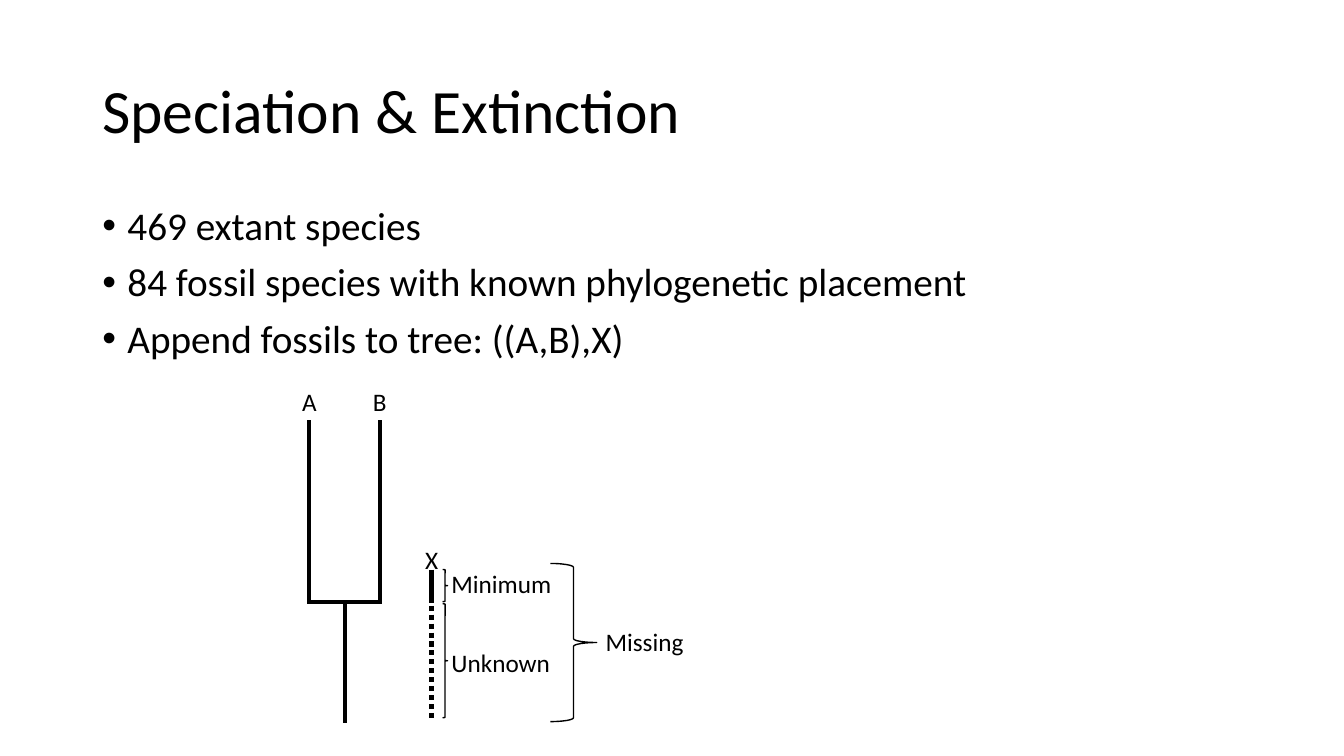
from lxml import etree
from pptx import Presentation
from pptx import util as u
from pptx.dml.color import RGBColor
from pptx.enum import shapes, text
from pptx.oxml import ns

COLOURS = {"ink": "000000", "paper": "FFFFFF"}
FONT = "Calibri"


def add_text(para, words, size=18, colour="ink", bullet=None, indent=18, spacing=None, before=None):
    if bullet:
        props = para._p.get_or_add_pPr()
        props.set("marL", str(u.Pt(indent)))
        props.set("indent", str(-u.Pt(indent)))
        font = etree.SubElement(props, ns.qn("a:buFont"))
        font.set("typeface", "Arial")
        etree.SubElement(props, ns.qn("a:buChar")).set("char", bullet)
    if spacing:
        para.line_spacing = spacing
    if before is not None:
        para.space_before = u.Pt(before)
    span = para.add_run()
    span.text = words
    span.font.name = FONT
    span.font.size = u.Pt(size)
    span.font.color.rgb = RGBColor.from_string(COLOURS[colour])


class Painter:
    def __init__(self, deck):
        self.page = deck.slides.add_slide(deck.slide_layouts[6])
        fill = self.page.background.fill
        fill.solid()
        fill.fore_color.rgb = RGBColor.from_string(COLOURS["paper"])

    def text_box(self, left, top, width, height, lines, anchor=text.MSO_ANCHOR.TOP, before=0, **style):
        box = self.page.shapes.add_textbox(*map(u.Pt, (left, top, width, height)))
        frame = box.text_frame
        frame.word_wrap = True
        frame.vertical_anchor = anchor
        for index, words in enumerate(lines):
            para = frame.paragraphs[0] if index == 0 else frame.add_paragraph()
            add_text(para, words, before=before if index else None, **style)

    def label(self, left, top, width, words):
        self.text_box(left, top, width, 28.8, [words])

    def outline(self, item, weight):
        item.line.color.rgb = RGBColor.from_string(COLOURS["ink"])
        item.line.width = u.Pt(weight)

    def line(self, x1, y1, x2, y2, weight=3):
        link = self.page.shapes.add_connector(
            shapes.MSO_CONNECTOR.STRAIGHT, *map(u.Pt, (x1, y1, x2, y2)))
        self.outline(link, weight)
        etree.SubElement(link._element.spPr, ns.qn("a:effectLst"))

    def brace(self, left, top, width, height):
        brace = self.page.shapes.add_shape(
            shapes.MSO_SHAPE.RIGHT_BRACE, *map(u.Pt, (left, top, width, height)))
        brace.shadow.inherit = False
        brace.fill.background()
        self.outline(brace, 1)


def main():
    deck = Presentation()
    deck.slide_width, deck.slide_height = u.Pt(960), u.Pt(540)
    painter = Painter(deck)

    painter.text_box(66, 28.8, 828, 104.4, ["Speciation & Extinction"],
                     anchor=text.MSO_ANCHOR.MIDDLE, size=44, spacing=0.9)
    painter.text_box(66, 144, 828, 342.7, [
        "469 extant species",
        "84 fossil species with known phylogenetic placement",
        "Append fossils to tree: ((A,B),X)",
    ], size=28, bullet="•", spacing=0.9, before=10)

    tip, node, root = 300.2, 429.8, 516.2
    for name, branch in (("A", 221), ("B", 271.4)):
        painter.line(branch, tip, branch, node)
        painter.label(branch - 12.2, 272.2, 23.8, name)
    painter.line(219.6, node, 272.9, node)
    painter.line(246.2, node, 246.2, root)

    fossil, fossil_tip = 308.2, 406.8
    painter.label(296.6, 385.2, 24.5, "X")
    painter.line(fossil, fossil_tip, fossil, 430.6)
    for dash in range(13):
        start = 432.7 + 6.38 * dash
        painter.line(fossil, start, fossil, start + 3.6)

    painter.brace(316.1, fossil_tip, 3.6, 23)
    painter.brace(316.1, 431.3, 3.6, 81.4)
    painter.brace(393.1, 402.5, 33.1, 113)
    painter.label(315.4, 402.5, 160.6, "Minimum")
    painter.label(315.4, 458.6, 124.6, "Unknown")
    painter.label(425.5, 443.5, 124.6, "Missing")

    deck.save("out.pptx")


if __name__ == "__main__":
    main()
